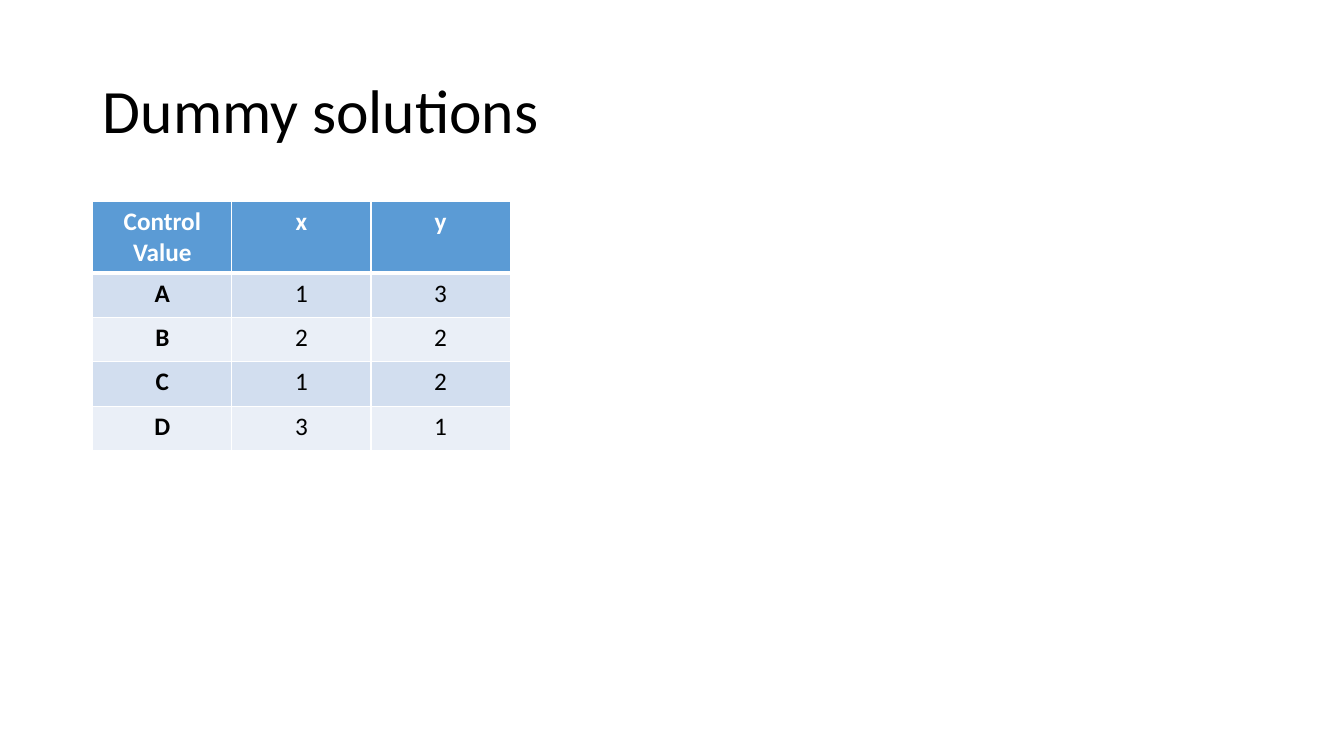
"""Build a slide with a title and a table of dummy solutions."""
from lxml.etree import SubElement
from pptx import Presentation
from pptx.dml.color import RGBColor
from pptx.enum.text import MSO_ANCHOR, PP_ALIGN
from pptx.oxml.ns import qn
from pptx.util import Inches, Pt

TITLE = "Dummy solutions"
ROWS = [
    ("Control Value", "x", "y"),
    ("A", "1", "3"),
    ("B", "2", "2"),
    ("C", "1", "2"),
    ("D", "3", "1"),
]
FONT = "Calibri"
BLACK, WHITE = "000000", "FFFFFF"
HEADER_FILL = "5B9BD5"
BAND_FILLS = ("EAEFF7", "D2DEEF")
LEFT, TABLE_TOP = 0.92, 2
COLUMN_WIDTH = 1.38
HEADER_HEIGHT, ROW_HEIGHT = 0.7, 0.44
THIN, THICK = 1, 3


def color(value):
    return RGBColor.from_string(value)


def write(frame, text, size=18, fill=BLACK, bold=False, align=PP_ALIGN.CENTER, spacing=1.0):
    paragraph = frame.paragraphs[0]
    paragraph.alignment = align
    paragraph.line_spacing = spacing
    run = paragraph.add_run()
    run.text = text
    run.font.name = FONT
    run.font.size = Pt(size)
    run.font.bold = bold
    run.font.color.rgb = color(fill)


def add_borders(cell, **widths):
    properties = cell._tc.get_or_add_tcPr()
    for side in "LRTB":
        line = SubElement(properties, qn(f"a:ln{side}"), w=str(Pt(widths.get(side, THIN))))
        SubElement(SubElement(line, qn("a:solidFill")), qn("a:srgbClr"), val=WHITE)


def add_title(slide):
    title = slide.shapes.title
    title.left, title.top = Inches(LEFT), Inches(0.4)
    title.width, title.height = Inches(11.5), Inches(1.45)
    title.text_frame.vertical_anchor = MSO_ANCHOR.MIDDLE
    write(title.text_frame, TITLE, size=44, align=PP_ALIGN.LEFT, spacing=0.9)


def add_solutions(slide):
    heights = [HEADER_HEIGHT] + [ROW_HEIGHT] * (len(ROWS) - 1)
    columns = len(ROWS[0])
    table = slide.shapes.add_table(
        len(ROWS), columns, Inches(LEFT), Inches(TABLE_TOP),
        Inches(COLUMN_WIDTH * columns), Inches(sum(heights)),
    ).table
    for column in table.columns:
        column.width = Inches(COLUMN_WIDTH)
    for row_index, values in enumerate(ROWS):
        table.rows[row_index].height = Inches(heights[row_index])
        header = row_index == 0
        for column_index, value in enumerate(values):
            cell = table.cell(row_index, column_index)
            add_borders(cell, T=THICK if row_index == 1 else THIN, B=THICK if header else THIN)
            cell.fill.solid()
            cell.fill.fore_color.rgb = color(HEADER_FILL if header else BAND_FILLS[row_index % 2])
            write(cell.text_frame, value, fill=WHITE if header else BLACK,
                  bold=header or column_index == 0)


def main():
    presentation = Presentation()
    presentation.slide_width, presentation.slide_height = Inches(13.33), Inches(7.5)
    slide = presentation.slides.add_slide(presentation.slide_layouts[5])
    add_title(slide)
    add_solutions(slide)
    presentation.save("out.pptx")


if __name__ == "__main__":
    main()
